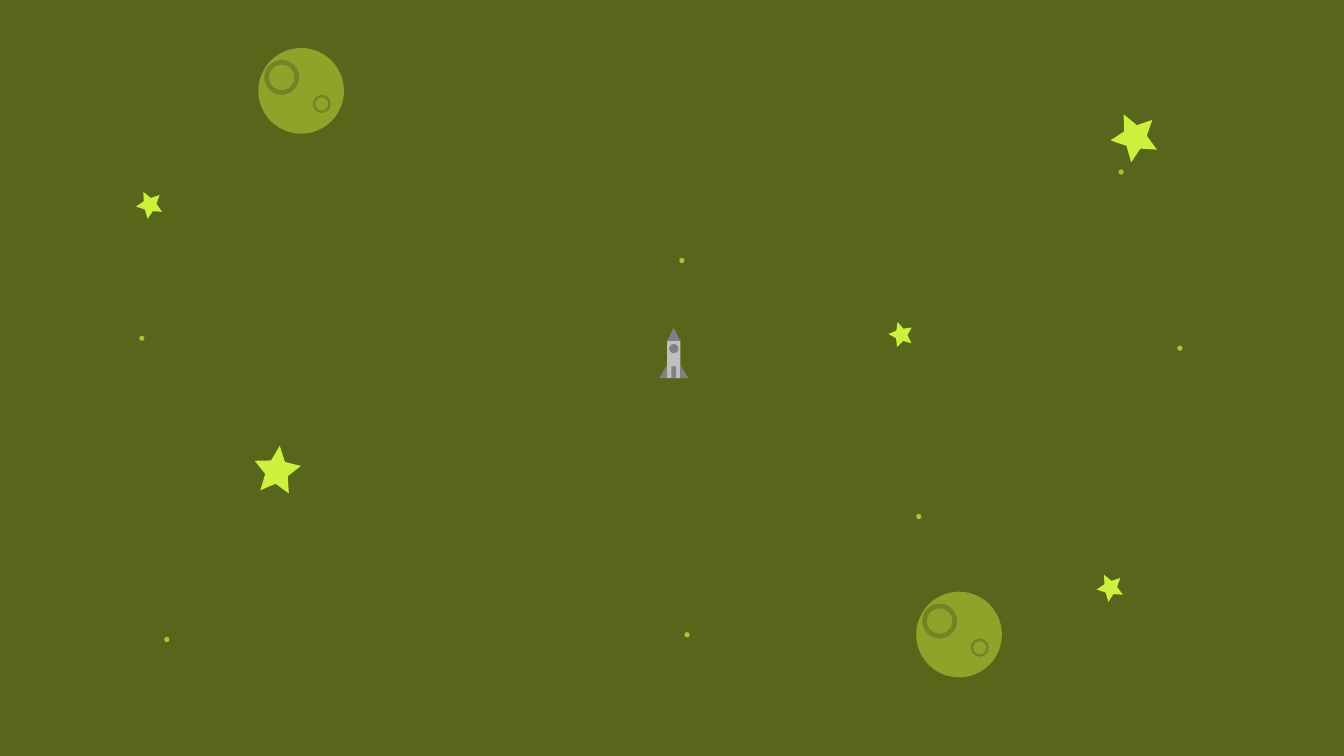
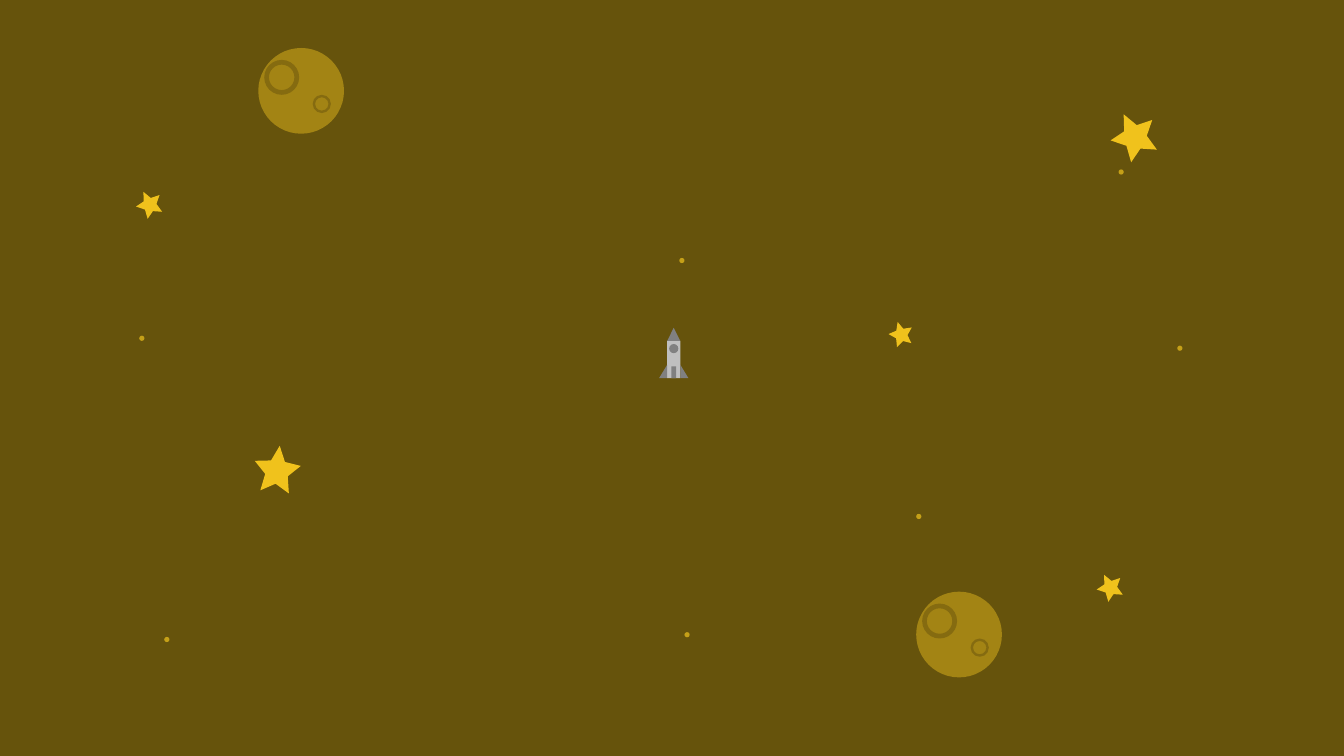
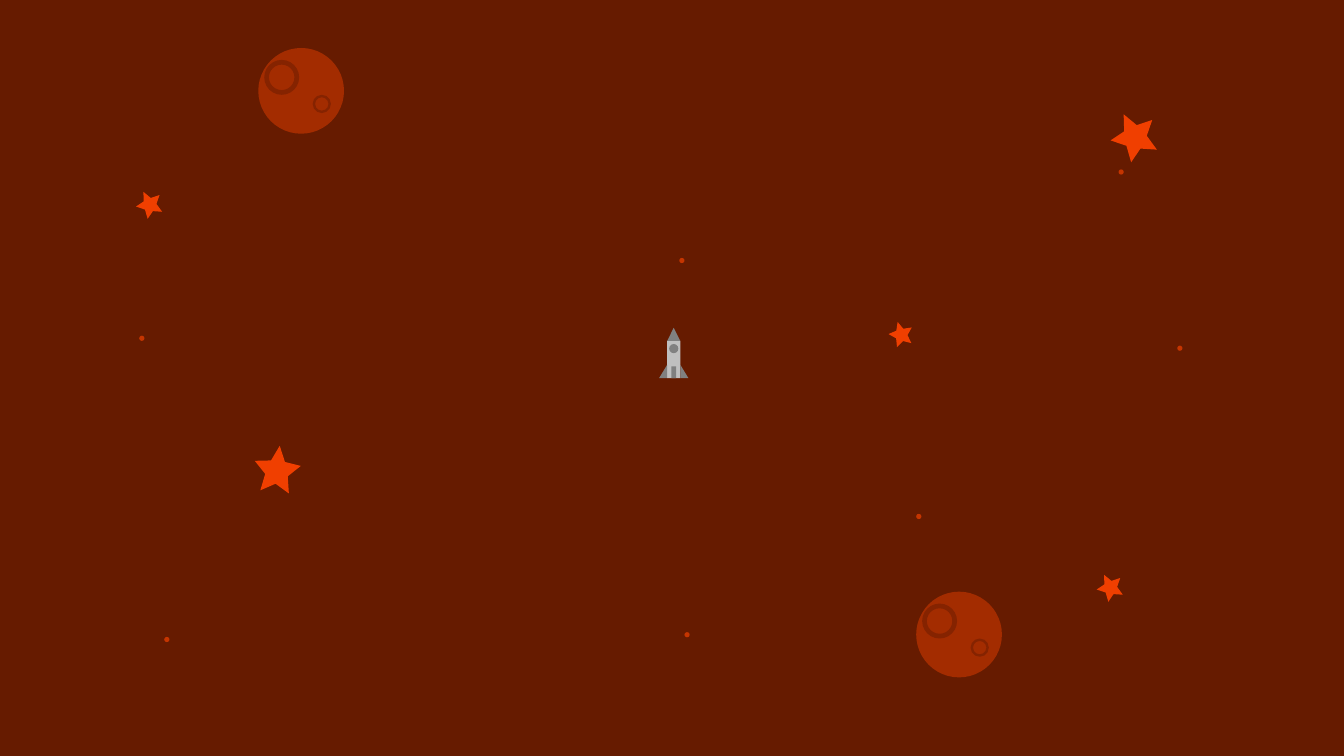
from pptx import Presentation
from pptx.dml.color import RGBColor
from pptx.enum.shapes import MSO_SHAPE
from pptx.util import Cm

WIDTH, HEIGHT = 33.87, 19.05

METAL = {"hull": "BFBFBF", "trim": "808080"}
PALETTES = [
    {"sky": "58661B", "planet": "8DA32A", "crater": "738522",
     "dot": "AAC533", "star": "CEEF3D"},
    {"sky": "66530C", "planet": "A38414", "crater": "856B10",
     "dot": "C5A018", "star": "F0C21C"},
    {"sky": "661B00", "planet": "A32C00", "crater": "852300",
     "dot": "C53500", "star": "F03F00"},
]

# Places are in centimetres: left, top, then size and rotation where they vary
PLANET_SIZE = 2.16
PLANETS = [(6.51, 1.21), (23.09, 14.91)]
CRATERS = [(0.15, 0.3, 0.88), (1.37, 1.18, 0.46)]
DOT_SIZE = 0.13
DOTS = [(17.12, 6.5), (23.09, 12.95), (4.14, 16.05), (28.19, 4.27),
        (3.51, 8.46), (17.25, 15.93), (29.67, 8.71)]
STARS = [(22.4, 8.1, 0.61, 344.2), (6.4, 11.23, 1.17, 6.3),
         (27.99, 2.82, 1.17, 333.9), (27.64, 14.45, 0.66, 333.9),
         (3.43, 4.8, 0.66, 333.9)]
ROCKET_BOX = (16.61, 8.26, 0.74, 1.27)


def add_part(shapes, kind, left, top, width, height, color, adjust=None):
    """Add a flat, outline-free shape in one colour."""
    part = shapes.add_shape(kind, Cm(left), Cm(top), Cm(width), Cm(height))
    part.shadow.inherit = False
    part.fill.solid()
    part.fill.fore_color.rgb = RGBColor.from_string(color)
    part.line.fill.background()
    if adjust is not None:
        part.adjustments[0] = adjust
    return part


def add_planet(page, left, top, colors):
    shapes = page.shapes.add_group_shape().shapes
    add_part(shapes, MSO_SHAPE.OVAL, left, top, PLANET_SIZE, PLANET_SIZE,
             colors["planet"])
    for x, y, size in CRATERS:
        add_part(shapes, MSO_SHAPE.DONUT, left + x, top + y, size, size,
                 colors["crater"], 0.135)


def add_star(page, left, top, size, rotation, color):
    star = add_part(page.shapes, MSO_SHAPE.STAR_5_POINT, left, top, size, size,
                    color, 0.244)
    star.rotation = rotation


def add_rocket(page, left, top, width, height):
    shapes = page.shapes.add_group_shape().shapes
    hull_width, nose_height = 0.33, 0.33
    fin_width, fin_height = 0.2, 0.33
    window, door_width, door_height = 0.23, 0.12, 0.3
    center = left + width / 2
    bottom = top + height
    hull_left = center - hull_width / 2
    fin_top = bottom - fin_height
    triangle = MSO_SHAPE.ISOSCELES_TRIANGLE
    # Hull and nose
    add_part(shapes, MSO_SHAPE.RECTANGLE, hull_left, top + nose_height,
             hull_width, height - nose_height, METAL["hull"])
    add_part(shapes, triangle, hull_left, top, hull_width, nose_height,
             METAL["trim"])
    # Fins
    for fin_left, peak in ((left, 1), (left + width - fin_width, 0)):
        add_part(shapes, triangle, fin_left, fin_top, fin_width, fin_height,
                 METAL["trim"], peak)
    # Window and door
    add_part(shapes, MSO_SHAPE.OVAL, center - window / 2, top + 0.41,
             window, window, METAL["trim"])
    add_part(shapes, MSO_SHAPE.RECTANGLE, center - door_width / 2,
             bottom - door_height, door_width, door_height, METAL["trim"])


def add_space_page(deck, colors):
    page = deck.slides.add_slide(deck.slide_layouts[6])
    # Sky
    add_part(page.shapes, MSO_SHAPE.RECTANGLE, 0, 0, WIDTH, HEIGHT,
             colors["sky"])
    # Planets, dots and stars
    for left, top in PLANETS:
        add_planet(page, left, top, colors)
    for left, top in DOTS:
        add_part(page.shapes, MSO_SHAPE.OVAL, left, top, DOT_SIZE, DOT_SIZE,
                 colors["dot"])
    for star_place in STARS:
        add_star(page, *star_place, colors["star"])
    # Rocket
    add_rocket(page, *ROCKET_BOX)


def main():
    deck = Presentation()
    deck.slide_width, deck.slide_height = Cm(WIDTH), Cm(HEIGHT)
    for colors in PALETTES:
        add_space_page(deck, colors)
    deck.save("out.pptx")


if __name__ == "__main__":
    main()
